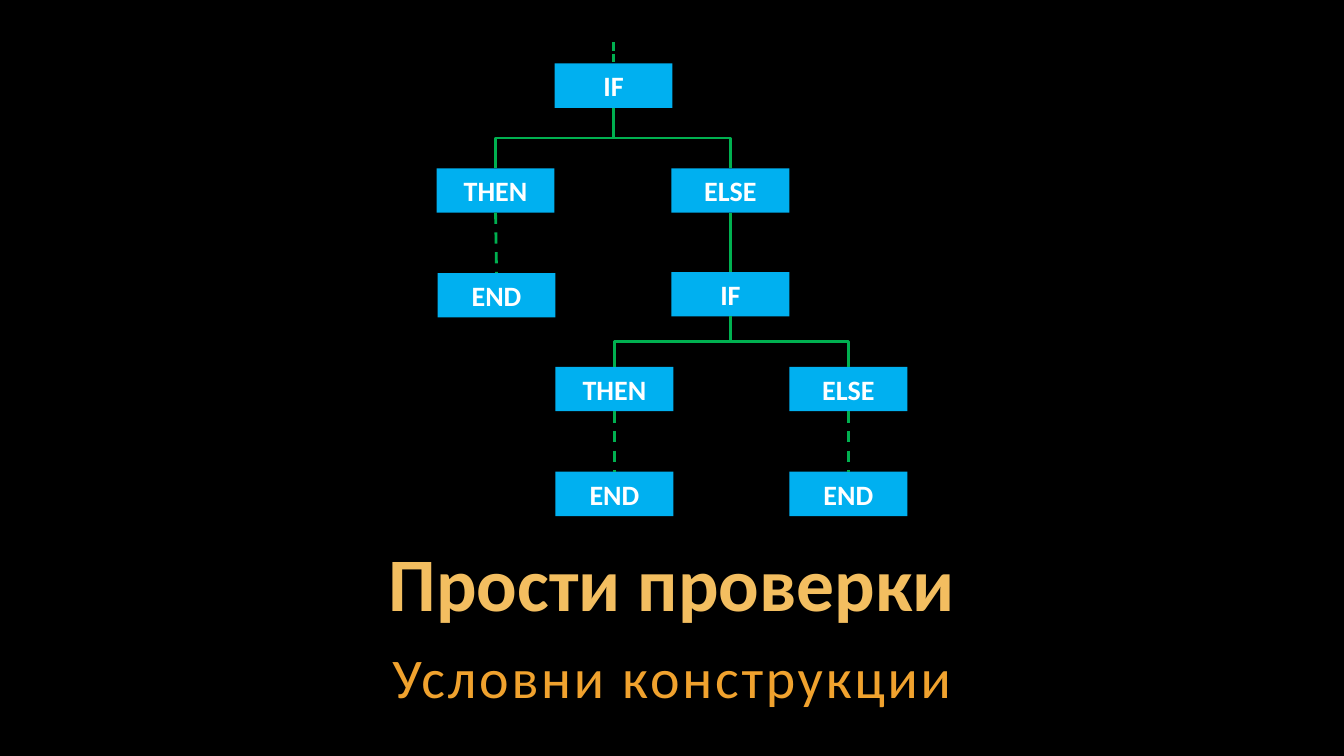
from pptx import Presentation
from pptx.dml.color import RGBColor
from pptx.enum import dml, shapes, text
from pptx.oxml import ns, xmlchemy
from pptx.util import Inches, Pt

HUES = {"back": "000000", "box": "00B0F0", "line": "00B050",
        "white": "FFFFFF", "title": "F3BE60", "sub": "F0A22E"}
WIDE, HIGH = 1.17, 0.44


def write(frame, words, size, hue, bold):
    para = frame.paragraphs[0]
    para.alignment = text.PP_ALIGN.CENTER
    run = para.add_run()
    run.text = words
    run.font.name = "Calibri"
    run.font.size = Pt(size)
    run.font.bold = bold
    run.font.color.rgb = RGBColor.from_string(HUES[hue])
    return para, run


def link(kind, ends, dash=None):
    line = slide.shapes.add_connector(kind, *[Inches(n) for n in ends])
    line.line.color.rgb = RGBColor.from_string(HUES["line"])
    line.line.width = Pt(2)
    if dash:
        line.line.dash_style = dash
    line._element.spPr.append(xmlchemy.OxmlElement("a:effectLst"))
    return line


prs = Presentation()
prs.slide_width, prs.slide_height = Inches(13.33), Inches(7.5)
slide = prs.slides.add_slide(prs.slide_layouts[5])
slide.background.fill.solid()
slide.background.fill.fore_color.rgb = RGBColor.from_string(HUES["back"])

title = slide.shapes.title
title.left, title.top = Inches(1), Inches(5.37)
title.width, title.height = Inches(11.33), Inches(0.9)
sub = slide.shapes.add_textbox(Inches(1), Inches(6.3), Inches(11.33), Inches(0.79))
for shape in (title, sub):
    frame = shape.text_frame
    frame.word_wrap = True
    frame.auto_size = text.MSO_AUTO_SIZE.NONE
    frame.margin_left = frame.margin_right = Inches(0.04)
    frame.margin_top = frame.margin_bottom = Inches(0.04)
title.text_frame.vertical_anchor = text.MSO_ANCHOR.BOTTOM
sub.text_frame.vertical_anchor = text.MSO_ANCHOR.TOP

para, run = write(title.text_frame, "Прости проверки", 54, "title", True)
para.line_spacing = 0.9
para, run = write(sub.text_frame, "Условни конструкции", 40, "sub", False)
para.line_spacing = 1.05
para.space_after = Pt(6)
run.font._element.set("spc", "200")

nodes = {
    "if1": ("IF", 5.5, 0.63),
    "then1": ("THEN", 4.33, 1.67),
    "else1": ("ELSE", 6.66, 1.67),
    "end1": ("END", 4.34, 2.71),
    "if2": ("IF", 6.66, 2.7),
    "then2": ("THEN", 5.51, 3.64),
    "else2": ("ELSE", 7.83, 3.64),
    "end2": ("END", 5.51, 4.68),
    "end3": ("END", 7.83, 4.68),
}
boxes = {}
for key, (word, left, top) in nodes.items():
    box = slide.shapes.add_shape(shapes.MSO_SHAPE.RECTANGLE, Inches(left),
                                 Inches(top), Inches(WIDE), Inches(HIGH))
    box.shadow.inherit = False
    box.fill.solid()
    box.fill.fore_color.rgb = RGBColor.from_string(HUES["box"])
    box.line.fill.background()
    box.text_frame.vertical_anchor = text.MSO_ANCHOR.MIDDLE
    write(box.text_frame, word, 20, "white", True)
    boxes[key] = box

DASH = dml.MSO_LINE.DASH
STRAIGHT = shapes.MSO_CONNECTOR.STRAIGHT
for start, end, dash in [("else1", "if2", None), ("then1", "end1", DASH),
                         ("then2", "end2", DASH), ("else2", "end3", DASH)]:
    line = link(STRAIGHT, (0, 0, 0, 0), dash)
    line.begin_connect(boxes[start], 2)
    line.end_connect(boxes[end], 0)

mid = nodes["if1"][1] + WIDE / 2
link(STRAIGHT, (mid, 0.42, mid, 0.63), dml.MSO_LINE.SQUARE_DOT)

for start, end in [("if1", "else1"), ("if1", "then1"),
                   ("if2", "else2"), ("if2", "then2")]:
    x1, y1 = nodes[start][1] + WIDE / 2, nodes[start][2] + HIGH
    x2, y2 = nodes[end][1] + WIDE / 2, nodes[end][2]
    side = 1 if x2 > x1 else -1
    midx, midy = (x1 + x2) / 2, (y1 + y2) / 2
    dx, dy = side * (y2 - y1) / 2, abs(x2 - x1) / 2
    line = link(shapes.MSO_CONNECTOR.ELBOW, (0, 0, 0, 0))
    line.begin_connect(boxes[start], 2)
    line.end_connect(boxes[end], 0)
    line.begin_x, line.begin_y = Inches(midx + dx), Inches(midy - dy)
    line.end_x, line.end_y = Inches(midx - dx), Inches(midy + dy)
    turn = 270 if side > 0 else 90
    line._element.spPr.find(ns.qn("a:xfrm")).set("rot", str(turn * 60000))

prs.save("out.pptx")
